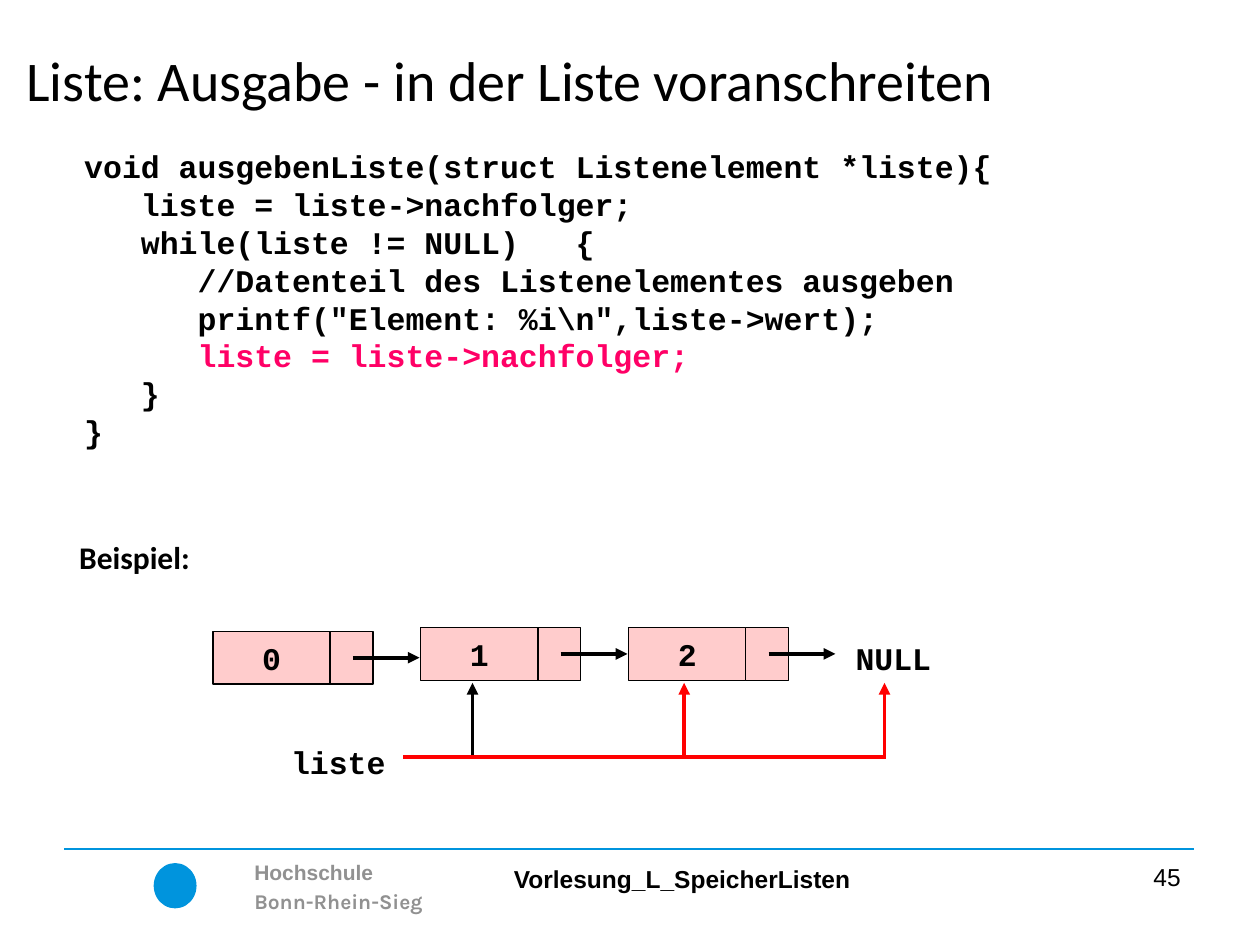
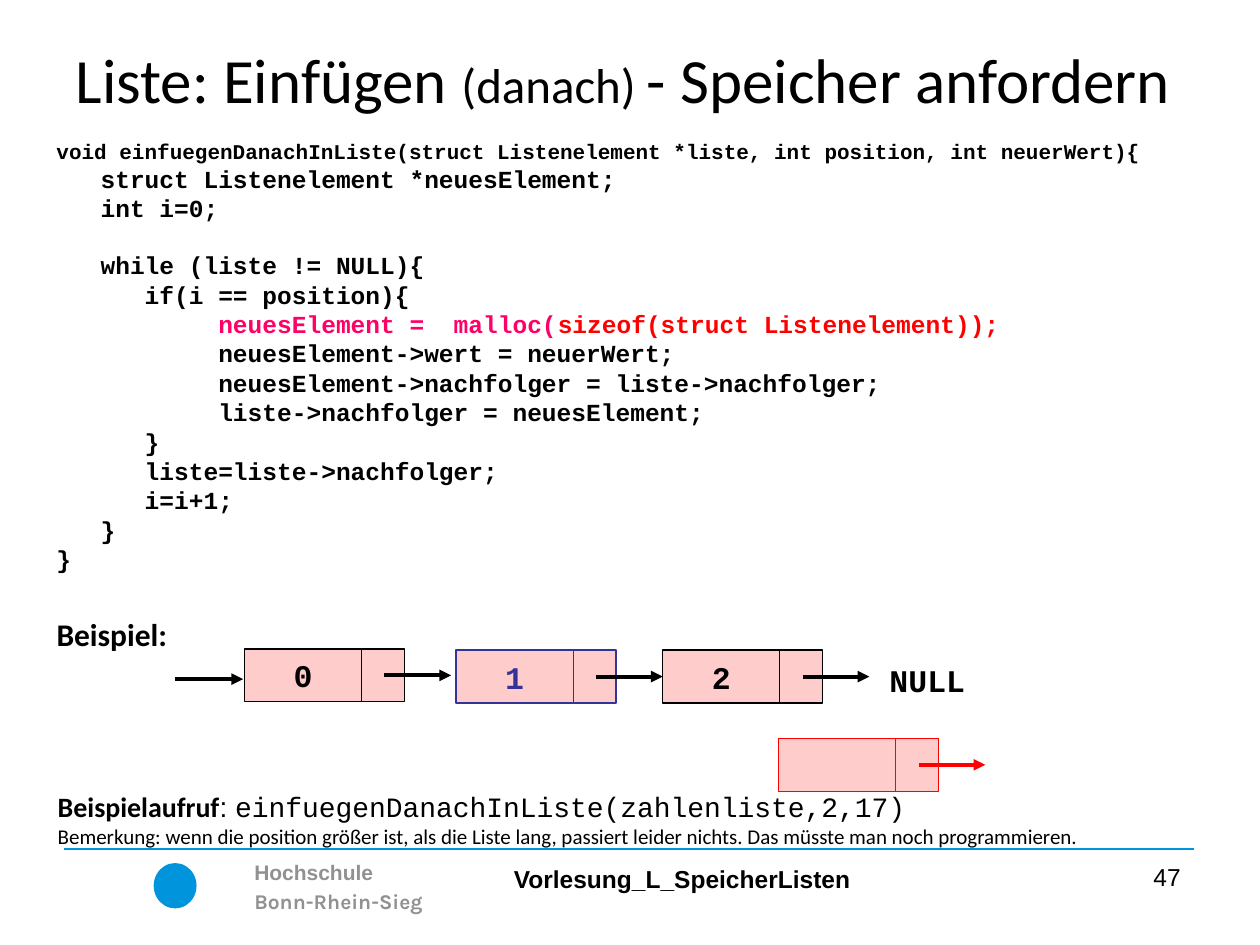
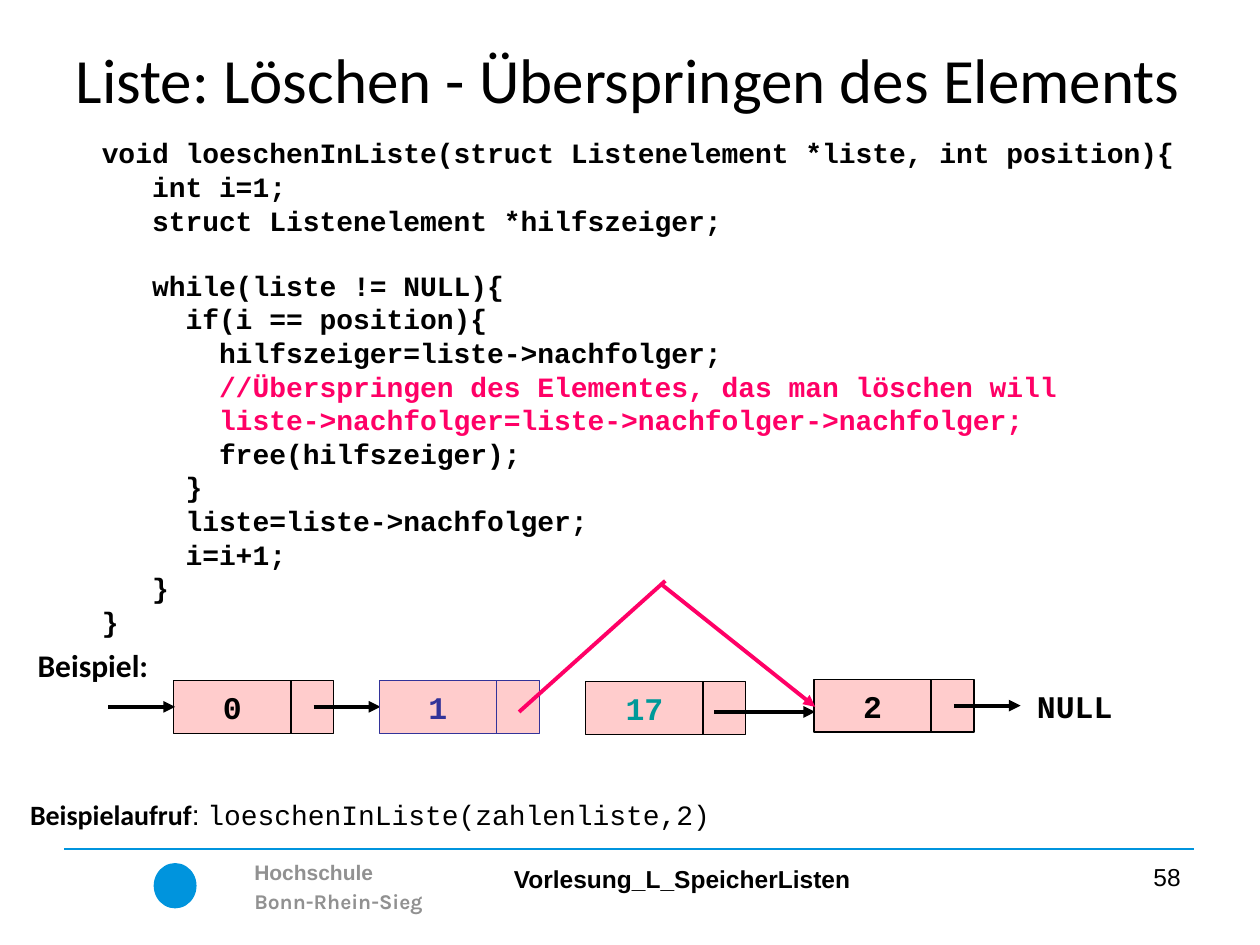
from lxml import etree
from pptx import Presentation
from pptx.dml.color import RGBColor
from pptx.enum.shapes import MSO_CONNECTOR, MSO_SHAPE
from pptx.enum.text import MSO_ANCHOR, MSO_AUTO_SIZE, PP_ALIGN
from pptx.oxml import parse_xml
from pptx.oxml.ns import nsdecls, qn
from pptx.util import Inches, Pt

RECT, OVAL = MSO_SHAPE.RECTANGLE, MSO_SHAPE.OVAL
LEFT, CENTER, RIGHT = PP_ALIGN.LEFT, PP_ALIGN.CENTER, PP_ALIGN.RIGHT
TOP, MIDDLE = MSO_ANCHOR.TOP, MSO_ANCHOR.MIDDLE
rgb = RGBColor.from_string

BLACK, WHITE, GREY = "000000", "FFFFFF", "919191"
BAND, CELL = "0094DD", "FFCCCC"
PINK, RED, INDIGO, TEAL = "FF0066", "FF0000", "333399", "009999"
SANS, HEAD, MONO = "Arial", "Calibri", "Courier New"

TEXT_SHADOW = (
    f'<a:effectLst {nsdecls("a")}><a:outerShdw dist="25400" dir="2700000">'
    '<a:srgbClr val="C0C0C0"/></a:outerShdw></a:effectLst>'
)


def add_text(sp, paragraphs, size=18, font=MONO, color=BLACK, bold=False,
             align=LEFT, anchor=TOP, wrap=False, spacing=None, shadow=False):
    """Fill sp; a paragraph is a string or a list of (text, overrides) runs.

    An empty string leaves a gap of one line before the next paragraph.
    """
    tf = sp.text_frame
    tf.word_wrap = wrap
    tf.auto_size = MSO_AUTO_SIZE.NONE
    tf.vertical_anchor = anchor
    p, gap = None, False
    for runs in paragraphs:
        if not runs:
            gap = True
            continue
        p = tf.add_paragraph() if p is not None else tf.paragraphs[0]
        p.alignment = align
        if spacing:
            p.line_spacing = spacing
        if gap:
            p.space_before = Pt(round(size * 1.13, 1))
            gap = False
        for text, extra in [(runs, {})] if isinstance(runs, str) else runs:
            r = p.add_run()
            r.text = text
            if shadow:
                r._r.get_or_add_rPr().append(parse_xml(TEXT_SHADOW))
            r.font.size = Pt(extra.get("size", size))
            r.font.name = extra.get("font", font)
            r.font.bold = extra.get("bold", bold)
            r.font.color.rgb = rgb(extra.get("color", color))


def add_line(slide, x1, y1, x2, y2, color=BLACK, width=2.25, arrow=True):
    line = slide.shapes.add_connector(
        MSO_CONNECTOR.STRAIGHT, Inches(x1), Inches(y1), Inches(x2), Inches(y2))
    line.line.color.rgb = rgb(color)
    line.line.width = Pt(width)
    if arrow:
        etree.SubElement(line.line._get_or_add_ln(), qn("a:tailEnd"), type="triangle")
    etree.SubElement(line._element.spPr, qn("a:effectLst"))


# Nodes: label, left, top, box colour, label colour, arrow colour
# Lines: x1, y1, x2, y2, colour, has arrowhead
# Labels: left, top, width, height, runs, format
label = dict(bold=True, align=CENTER)
example = dict(font=HEAD, bold=True)
colon = (": ", dict(font=SANS, bold=False))

slides = [
    dict(
        number="45",
        title=["Liste: Ausgabe - in der Liste voranschreiten"],
        title_left=0.11, title_width=9.79, title_size=32,
        code_box=(0.57, 1.12, 9.12, 2.52), code_size=18,
        code=[
            "void ausgebenListe(struct Listenelement *liste){",
            "   liste = liste->nachfolger;",
            "   while(liste != NULL)   {",
            "      //Datenteil des Listenelementes ausgeben",
            '      printf("Element: %i\\n",liste->wert);',
            [("      liste = liste->nachfolger;", dict(color=PINK))],
            "   }",
            "}",
        ],
        nodes=[
            ("0", 1.69, 5.01, BLACK, BLACK, BLACK),
            ("1", 3.34, 4.98, BLACK, BLACK, BLACK),
            ("2", 4.99, 4.98, BLACK, BLACK, BLACK),
        ],
        lines=[
            (3.75, 6, 3.75, 5.42, BLACK, True),
            (3.2, 6.01, 7.03, 6.01, RED, False),
            (5.43, 6, 5.43, 5.42, RED, True),
            (7.02, 6, 7.02, 5.42, RED, True),
        ],
        labels=[
            (6.69, 5.02, 0.8, 0.4, "NULL", label),
            (2.21, 5.85, 0.95, 0.4, "liste", label),
            (0.53, 4.22, 1.09, 0.4, "Beispiel:", example),
        ],
    ),
    dict(
        number="47",
        title=[[("Liste: Einfügen ", {}), ("(danach) ", dict(size=28)),
                ("- Speicher anfordern", {})]],
        title_left=0.5, title_width=9, title_size=36,
        code_box=(0.35, 1.05, 9.84, 3.6), code_size=14,
        code=[
            [("void einfuegenDanachInListe(struct Listenelement *liste, "
              "int position, int neuerWert){", dict(size=12))],
            "   struct Listenelement *neuesElement;",
            "   int i=0;",
            "",
            "   while (liste != NULL){",
            "      if(i == position){",
            [("           neuesElement =  malloc(", dict(color=PINK)),
             ("sizeof(struct Listenelement));", dict(color=RED))],
            "           neuesElement->wert = neuerWert;",
            "           neuesElement->nachfolger = liste->nachfolger;",
            "           liste->nachfolger = neuesElement;",
            "      }",
            "      liste=liste->nachfolger;",
            "      i=i+1;",
            "   }",
            "}",
        ],
        nodes=[
            ("0", 1.94, 5.15, BLACK, BLACK, BLACK),
            ("1", 3.62, 5.16, INDIGO, INDIGO, BLACK),
            ("2", 5.26, 5.16, BLACK, BLACK, BLACK),
            ("", 6.18, 5.86, RED, RED, RED),
        ],
        lines=[(1.39, 5.39, 1.93, 5.39, BLACK, True)],
        labels=[
            (6.96, 5.2, 0.8, 0.4, "NULL", label),
            (0.36, 6.22, 8.19, 0.37,
             [("Beispielaufruf", dict(font=HEAD, bold=True)), colon,
              ("einfuegenDanachInListe(zahlenliste,2,17)", {})], dict(size=16)),
            (0.36, 6.49, 8.39, 0.3,
             "Bemerkung: wenn die position größer ist, als die Liste lang, passiert "
             "leider nichts. Das müsste man noch programmieren.",
             dict(size=12, font=HEAD)),
            (0.35, 4.83, 1.09, 0.4, "Beispiel:", example),
        ],
    ),
    dict(
        number="58",
        title=["Liste: Löschen - Überspringen des Elements"],
        title_left=0.5, title_width=9, title_size=36,
        code_box=(0.71, 1.03, 9, 4.14), code_size=16,
        code=[
            "void loeschenInListe(struct Listenelement *liste, int position){",
            "   int i=1;",
            "   struct Listenelement *hilfszeiger;",
            "",
            "   while(liste != NULL){",
            "     if(i == position){",
            "       hilfszeiger=liste->nachfolger;",
            [("       //Überspringen des Elementes, das man löschen will",
              dict(color=PINK))],
            [("       liste->nachfolger=liste->nachfolger->nachfolger;",
              dict(color=PINK))],
            "       free(hilfszeiger);",
            "     }",
            "     liste=liste->nachfolger;",
            "     i=i+1;",
            "   }",
            "}",
        ],
        nodes=[
            ("0", 1.38, 5.4, BLACK, BLACK, BLACK),
            ("1", 3.01, 5.4, INDIGO, INDIGO, None),
            ("17", 4.65, 5.41, BLACK, TEAL, None),
            ("2", 6.46, 5.39, BLACK, BLACK, BLACK),
        ],
        lines=[
            (0.86, 5.61, 1.39, 5.61, BLACK, True),
            (5.67, 5.65, 6.47, 5.65, BLACK, True),
            (4.12, 5.65, 5.28, 4.61, PINK, False),
            (5.24, 4.63, 6.47, 5.61, PINK, True),
        ],
        labels=[
            (8.13, 5.4, 0.8, 0.4, "NULL", label),
            (0.14, 6.28, 5.68, 0.37,
             [("Beispielaufruf", dict(font=HEAD, bold=True)), colon,
              ("loeschenInListe(zahlenliste,2)", {})], dict(size=16)),
            (0.2, 5.08, 1.09, 0.4, "Beispiel:", example),
        ],
    ),
]

footer_labels = [
    (1.92, 6.74, 2.53, 0.56,
     ["Hochschule", [("Bonn-Rhein-Sieg", dict(font="Karla"))]],
     dict(size=12, font=SANS, color=GREY, bold=True, wrap=True, spacing=1.15)),
    (3.98, 6.81, 2.87, 0.33, ["Vorlesung_L_SpeicherListen"],
     dict(size=14, font=SANS, bold=True)),
]

prs = Presentation()
prs.slide_width, prs.slide_height = Inches(10), Inches(7.5)

for content in slides:
    slide = prs.slides.add_slide(prs.slide_layouts[5])

    # Title
    title = slide.shapes.title
    title.left, title.top = Inches(content["title_left"]), Inches(0.28)
    title.width, title.height = Inches(content["title_width"]), Inches(0.69)
    add_text(title, content["title"], size=content["title_size"], font=HEAD,
             anchor=MIDDLE, wrap=True, shadow=True)

    # Footer
    dot = slide.shapes.add_shape(OVAL, Inches(1.22), Inches(6.85), Inches(0.34), Inches(0.36))
    dot.shadow.inherit = False
    dot.fill.solid()
    dot.fill.fore_color.rgb = rgb(BAND)
    dot.line.fill.background()
    add_line(slide, 0.51, 6.74, 9.48, 6.74, BAND, width=1, arrow=False)
    for *box, paragraphs, style in footer_labels:
        add_text(slide.shapes.add_textbox(*map(Inches, box)), paragraphs, **style)
    number = slide.shapes.add_textbox(Inches(7.28), Inches(6.79), Inches(2.19), Inches(0.37))
    add_text(number, [content["number"]], size=14, font=SANS, align=RIGHT, wrap=True)

    # Code
    code = slide.shapes.add_textbox(*map(Inches, content["code_box"]))
    code.fill.solid()
    code.fill.fore_color.rgb = rgb(WHITE)
    add_text(code, content["code"], size=content["code_size"], bold=True, wrap=True)

    # List diagram
    for value, x, y, box_color, text_color, arrow_color in content["nodes"]:
        for left, width, text in ((x + 0.03, 1.24, ""), (x, 0.93, value)):
            sp = slide.shapes.add_shape(RECT, Inches(left), Inches(y), Inches(width), Inches(0.42))
            sp.shadow.inherit = False
            sp.fill.solid()
            sp.fill.fore_color.rgb = rgb(CELL)
            sp.line.color.rgb = rgb(box_color)
            sp.line.width = Pt(0.75)
            if text:
                add_text(sp, [text], color=text_color, bold=True, align=CENTER, anchor=MIDDLE)
        if arrow_color:
            add_line(slide, x + 1.11, y + 0.21, x + 1.64, y + 0.21, arrow_color)
    for x1, y1, x2, y2, color, arrow in content["lines"]:
        add_line(slide, x1, y1, x2, y2, color, arrow=arrow)
    for *box, runs, style in content["labels"]:
        add_text(slide.shapes.add_textbox(*map(Inches, box)), [runs], **style)

prs.save("out.pptx")
